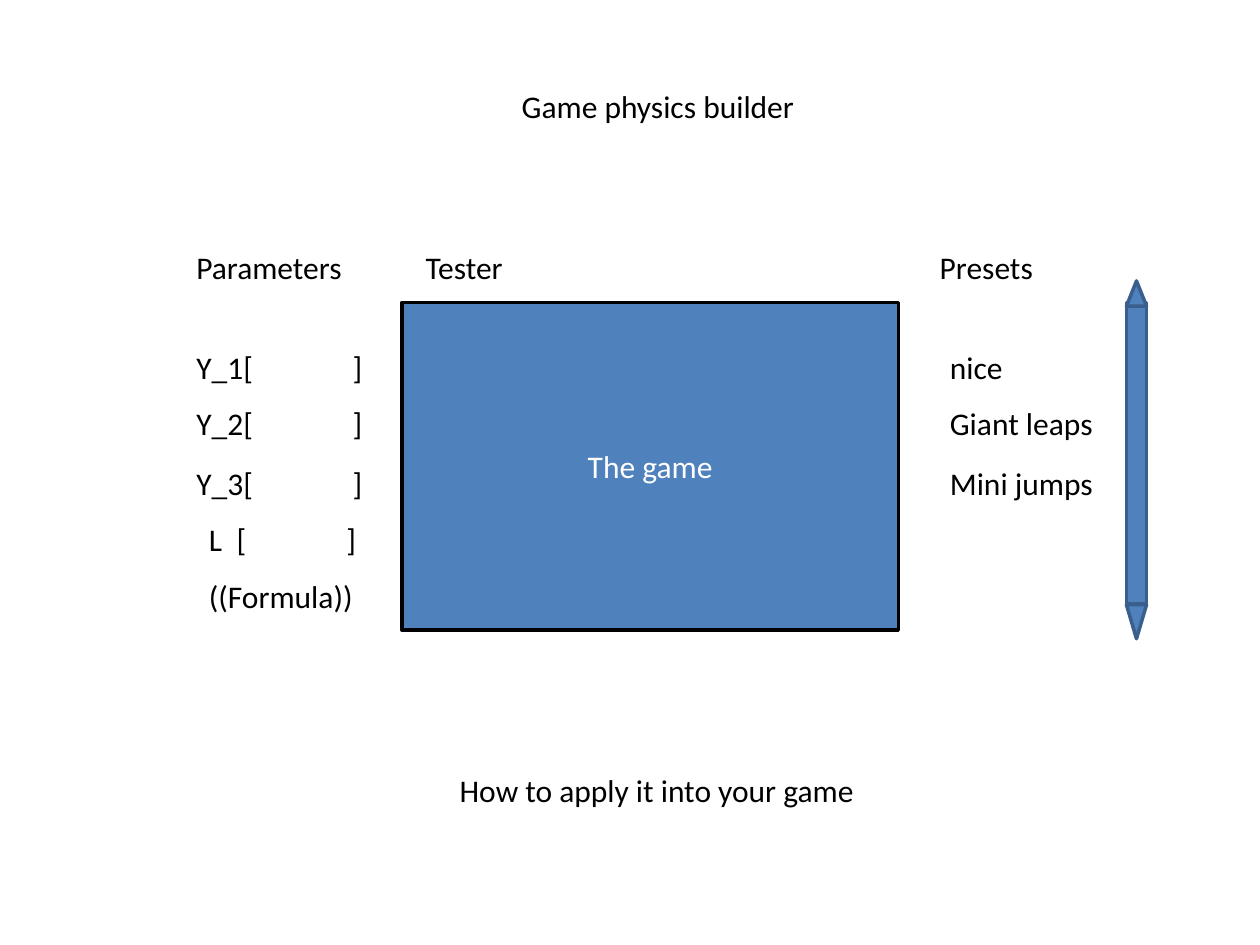
from pptx import Presentation, util as u
from pptx.dml.color import RGBColor
from pptx.enum import shapes, text
from pptx.oxml.ns import qn
from lxml import etree

BLACK = RGBColor(0, 0, 0)
WHITE = RGBColor(255, 255, 255)
BLUE = RGBColor(0x4F, 0x81, 0xBD)
NAVY = RGBColor(0x3A, 0x5F, 0x8C)

# Columns and rows of the page, in inches
COL = dict(param=1.46, inset=1.56, game=3.19, test=3.28, preset=7.36, item=7.44, bar=8.94)
ROW = dict(title=0.64, head=1.92, foot=6.07)
LIST = [2.71, 3.16, 3.63, 4.08, 4.53]
LINE = 0.4
BAR = 0.16
TOP = 2.4


def place(item, x, y, w, h):
    spots = dict(left=x, top=y, width=w, height=h)
    for name, size in spots.items():
        setattr(item, name, u.Inches(size))


def style(frame, words, color=BLACK, align=text.PP_ALIGN.LEFT):
    frame.text = words
    para = frame.paragraphs[0]
    para.alignment = align
    for name, value in dict(name="Calibri", size=u.Pt(18)).items():
        setattr(para.runs[0].font, name, value)
    para.runs[0].font.color.rgb = color
    return para


def stops(para, tabs):
    """Set left tab stops, in inches from the text edge."""
    tag = etree.SubElement(para._p.get_or_add_pPr(), qn("a:tabLst"))
    for tab in tabs:
        etree.SubElement(tag, qn("a:tab"), pos=str(u.Inches(tab)), algn="l")


def label(slide, words, x, y, w, tabs=()):
    box = slide.shapes.add_textbox(0, 0, 0, 0)
    place(box, x, y, w, LINE)
    box.text_frame.word_wrap = False
    para = style(box.text_frame, words)
    if tabs:
        stops(para, tabs)


def block(slide, kind, x, y, w, h, edge=NAVY, flip=False):
    item = slide.shapes.add_shape(kind, 0, 0, 0, 0)
    place(item, x, y, w, h)
    item.shadow.inherit = False
    item.fill.solid()
    item.fill.fore_color.rgb = BLUE
    item.line.color.rgb = edge
    item.line.width = u.Pt(2)
    if flip:
        item.element.spPr.xfrm.set("flipV", "1")
    return item


def title(slide, words):
    head = slide.shapes.title
    place(head, 4.04, ROW["title"], 2.39, LINE)
    form = dict(word_wrap=False, auto_size=text.MSO_AUTO_SIZE.NONE,
                vertical_anchor=text.MSO_ANCHOR.TOP)
    for name, value in form.items():
        setattr(head.text_frame, name, value)
    style(head.text_frame, words)


def scroll(slide):
    kind = shapes.MSO_SHAPE
    parts = [(kind.RECTANGLE, TOP, 2.39, False),
             (kind.ISOSCELES_TRIANGLE, 2.23, 0.2, False),
             (kind.ISOSCELES_TRIANGLE, 4.8, 0.27, True)]
    for form, y, h, flip in parts:
        block(slide, form, COL["bar"], y, BAR, h, flip=flip)


def main():
    deck = Presentation()
    deck.slide_width, deck.slide_height = u.Inches(10), u.Inches(7.5)
    slide = deck.slides.add_slide(deck.slide_layouts[5])
    title(slide, "Game physics builder")

    # Game area
    game = block(slide, shapes.MSO_SHAPE.RECTANGLE, COL["game"], TOP, 3.94, 2.6, BLACK)
    game.text_frame.vertical_anchor = text.MSO_ANCHOR.MIDDLE
    style(game.text_frame, "The game", WHITE, text.PP_ALIGN.CENTER)

    # Column heads
    heads = [("Parameters", "param", 1.37), ("Tester", "test", 0.82), ("Presets", "preset", 0.95)]
    for words, col, w in heads:
        label(slide, words, COL[col], ROW["head"], w)

    # Parameter fields
    for num, y in enumerate(LIST[:3], 1):
        label(slide, f"Y_{num}[\t]", COL["param"], y, 1.54, [1.24])
    label(slide, "L\t[\t]", COL["inset"], LIST[3], 1.39, [0.22, 1.09])
    label(slide, "((Formula))", COL["inset"], LIST[4], 1.36)

    # Presets and their scroll bar
    items = [("nice", 0.63), ("Giant leaps", 1.35), ("Mini jumps", 1.35)]
    for (words, w), y in zip(items, LIST):
        label(slide, words, COL["item"], y, w)
    scroll(slide)

    label(slide, "How to apply it into your game", 3.55, ROW["foot"], 3.37)
    deck.save("out.pptx")


main()
